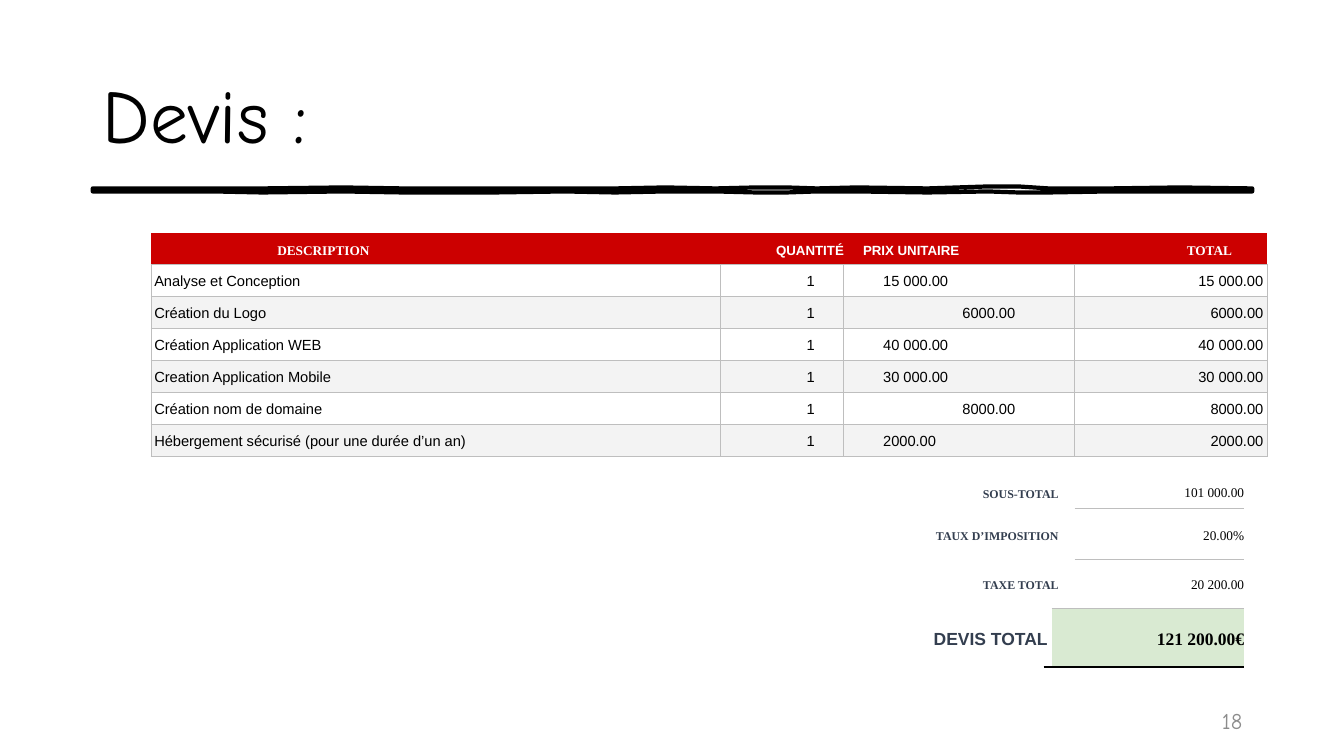
from lxml import etree
from pptx import Presentation
from pptx import util as u
from pptx.dml.color import RGBColor
from pptx.enum import text
from pptx.oxml.ns import qn

RED = RGBColor(0xCC, 0x00, 0x00)
GREY = RGBColor(0xBE, 0xBE, 0xBE)
BAND = RGBColor(0xF3, 0xF3, 0xF3)
GREEN = RGBColor(0xD9, 0xEA, 0xD2)
SLATE = RGBColor(0x33, 0x3E, 0x4F)
PALE = RGBColor(0x8C, 0x8C, 0x8C)
BLACK = RGBColor(0, 0, 0)
WHITE = RGBColor(255, 255, 255)
ARIAL, TIMES, COMIC = "Arial", "Times New Roman", "Comic Neue"
LEFT, RIGHT = text.PP_ALIGN.LEFT, text.PP_ALIGN.RIGHT
NO_GRID = "{2D5ABB26-0587-4C30-8999-92F81FD0307C}"


def write(frame, words, size, font, color, bold=False, align=LEFT):
    para = frame.paragraphs[0]
    para.alignment = align
    run = para.add_run()
    run.text = words
    run.font.size = u.Pt(size)
    run.font.name = font
    run.font.bold = bold
    run.font.color.rgb = color


def put(row, col, words, size, font, color, bold=False, align=LEFT, gap=0):
    """Fill a table cell; gap is the margin on the side the text is aligned to."""
    cell = table.cell(row, col)
    if align == RIGHT:
        cell.margin_right = u.Inches(gap)
    else:
        cell.margin_left = u.Inches(gap)
    write(cell.text_frame, words, size, font, color, bold, align)


deck = Presentation()
deck.slide_width, deck.slide_height = u.Inches(13.33), u.Inches(7.5)
slide = deck.slides.add_slide(deck.slide_layouts[5])

# Title
side, wide = u.Inches(0.92), u.Inches(11.5)
title = slide.shapes.title
title.left, title.top, title.width, title.height = side, u.Inches(0.4), wide, u.Inches(1.45)
title.text_frame.vertical_anchor = text.MSO_ANCHOR.MIDDLE
write(title.text_frame, "Devis :", 54, COMIC, BLACK)

# Brush stroke: x, then how far its upper and lower edges swell
waves = [(0.92, 0, 0), (2.12, 0, 0), (2.6, 0, 0.01), (3.4, 0.01, 0), (4, 0, 0.01),
         (4.9, 0, 0.01), (5.6, 0, 0), (6.1, 0, 0.01), (6.6, 0.01, 0), (7.1, 0, 0),
         (7.5, 0.01, 0.01), (7.8, 0.01, 0.01), (8.1, 0, 0), (8.5, 0.01, 0),
         (9.2, 0, 0.01), (9.8, 0.02, 0), (10.1, 0.02, 0.01), (10.4, 0, 0.01),
         (11, 0, 0), (11.7, 0.01, 0), (12.42, 0, 0)]
upper = [(u.Inches(x), u.Inches(1.87 - up)) for x, up, down in waves]
lower = [(u.Inches(x), u.Inches(1.9 + down)) for x, up, down in waves]
pen = slide.shapes.build_freeform(*upper[0])
pen.add_line_segments(upper[1:] + lower[::-1], close=True)
brush = pen.convert_to_shape()
brush.shadow.inherit = False
brush.fill.background()
brush.line.color.rgb = BLACK
brush.line.width = u.Pt(3)

# Table grid: every text row is followed by a thin spacer row
DESC, COUNT, PRICE, SLIM, PAD, TOTAL, EDGE = range(7)
HEAD, ITEM, SUM, GRAND, END = 0, 2, 14, 20, 22
pitch = 2.22 / 7
cols = [5.65, 1.22, 1.98, 0.08, 0.23, 1.68, 0.23]
rows = [0.25, pitch - 0.25] * 7 + [0.44, 0.08, 0.34, 0.16, 0.33, 0.16, 0.4, 0.18]
frame = slide.shapes.add_table(END, len(cols), u.Inches(1.5), u.Inches(2.31),
                               u.Inches(sum(cols)), u.Inches(sum(rows)))
table = frame.table
table.first_row = table.horz_banding = False
frame._element.find(".//" + qn("a:tableStyleId")).text = NO_GRID
for col, size in zip(table.columns, cols):
    col.width = u.Inches(size)
for row, size in zip(table.rows, rows):
    row.height = u.Inches(size)

# Merged cells: (row, first column) -> last column
spans = {(r, TOTAL): EDGE for r in range(HEAD, SUM, 2)}
spans |= {(r, PRICE): PAD for r in (HEAD, *range(SUM, GRAND, 2))}
spans[GRAND, PRICE] = SLIM
for (r, start), end in spans.items():
    table.cell(r, start).merge(table.cell(r, end))

# Rules: flat ones lie above a cell, tall ones stand left of it
flat = {(r, c): GREY for r in range(ITEM, SUM + 1, 2) for c in range(len(cols))}
flat |= {(r, TOTAL): GREY for r in range(SUM + 2, END, 2)}
flat[GRAND, PAD] = GREY
flat |= {(END, c): BLACK for c in (SLIM, PAD, TOTAL)}
tall = {(r, c): GREY for r in range(ITEM, SUM)
        for c in (DESC, COUNT, PRICE, TOTAL, len(cols))}

# Fills: (row, column) -> colour
fills = {(r, c): RED for r in range(HEAD, ITEM) for c in range(len(cols))}
fills |= {(r + half, c): BAND for r in range(ITEM + 2, SUM, 4) for half in (0, 1)
          for c in range(len(cols))}
fills |= {(r, c): GREEN for r in range(GRAND, END) for c in (PAD, TOTAL)}

for r in range(END):
    for c in range(len(cols)):
        cell = table.cell(r, c)
        cell.margin_left = cell.margin_right = cell.margin_top = cell.margin_bottom = 0
        cell.vertical_anchor = text.MSO_ANCHOR.BOTTOM
        # Tiny text in empty cells lets the spacer rows stay thin
        para = cell.text_frame.paragraphs[0]._p
        etree.SubElement(para, qn("a:endParaRPr")).set("sz", "100")

        last = spans.get((r, c), c)
        edges = {"L": tall.get((r, c)), "R": tall.get((r, last + 1)),
                 "T": flat.get((r, c)), "B": flat.get((r + 1, c))}
        props = cell._tc.get_or_add_tcPr()
        for edge, tint in edges.items():
            line = etree.SubElement(props, qn("a:ln" + edge), w=str(u.Pt(1)))
            if tint is None:
                etree.SubElement(line, qn("a:noFill"))
            else:
                paint = etree.SubElement(line, qn("a:solidFill"))
                etree.SubElement(paint, qn("a:srgbClr"), val=str(tint))

        if (r, c) in fills:
            cell.fill.solid()
            cell.fill.fore_color.rgb = fills[r, c]
        else:
            cell.fill.background()

# Table text
heads = [(DESC, "DESCRIPTION", TIMES, LEFT, 1.25), (COUNT, "QUANTITÉ", ARIAL, RIGHT, 0),
         (PRICE, "PRIX UNITAIRE", ARIAL, LEFT, 0.19), (TOTAL, "TOTAL", TIMES, RIGHT, 0.35)]
for c, name, font, align, gap in heads:
    put(HEAD, c, name, 9.5, font, WHITE, True, align, gap)

items = [
    ("Analyse et Conception", "15 000.00", LEFT),
    ("Création du Logo", "6000.00", RIGHT),
    ("Création Application WEB", "40 000.00", LEFT),
    ("Creation Application Mobile", "30 000.00", LEFT),
    ("Création nom de domaine", "8000.00", RIGHT),
    ("Hébergement sécurisé (pour une durée d’un an)", "2000.00", LEFT),
]
inset = {LEFT: 0.39, RIGHT: 0.28}
for r, (name, price, side_of) in zip(range(ITEM, SUM, 2), items):
    line = [(DESC, name, LEFT, 0.03), (COUNT, "1", RIGHT, 0.29),
            (PRICE, price, side_of, inset[side_of]), (TOTAL, price, RIGHT, 0.04)]
    for c, words, align, gap in line:
        put(r, c, words, 10.5, ARIAL, BLACK, False, align, gap)

sums = [("SOUS-TOTAL", "101 000.00"), ("TAUX D’IMPOSITION", "20.00%"),
        ("TAXE TOTAL", "20 200.00")]
for r, (name, value) in zip(range(SUM, GRAND, 2), sums):
    put(r, PRICE, name, 8.5, TIMES, SLATE, True, RIGHT, 0.16)
    put(r, TOTAL, value, 9.5, TIMES, BLACK, False, RIGHT)
put(GRAND, PRICE, "DEVIS TOTAL", 12.5, ARIAL, SLATE, True, RIGHT, 0.04)
put(GRAND, TOTAL, "121 200.00€", 12.5, TIMES, BLACK, True, RIGHT)

# Page number, flush with the right end of the title
span = u.Inches(3)
page = slide.shapes.add_textbox(side + wide - span, u.Inches(6.95), span, u.Inches(0.4))
page.text_frame.word_wrap = True
page.text_frame.vertical_anchor = text.MSO_ANCHOR.MIDDLE
write(page.text_frame, "18", 16, COMIC, PALE, align=RIGHT)

deck.save("out.pptx")
